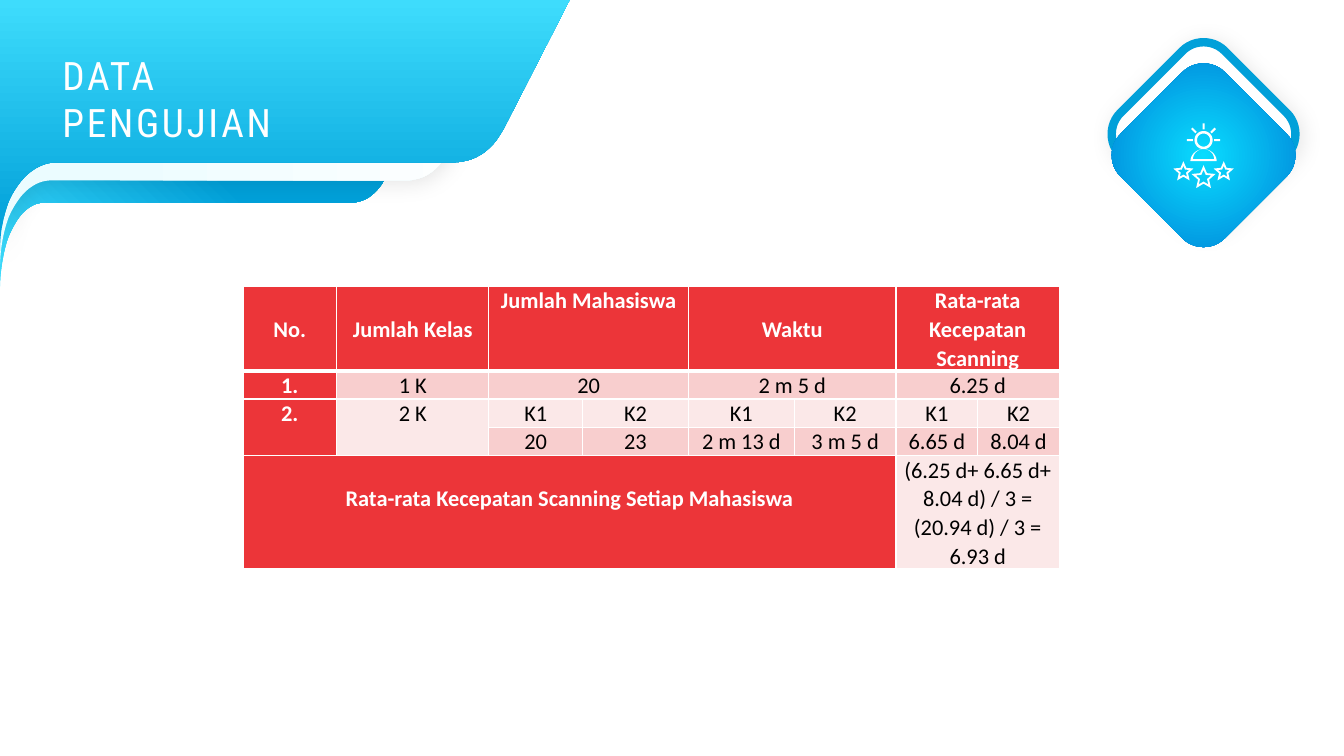
"""Build the test data slide: ribbons, title, badge and results table."""
from dataclasses import dataclass
from itertools import product
from math import cos, pi, sin

from lxml import etree
from pptx import Presentation
from pptx.dml.color import RGBColor
from pptx.enum.text import PP_ALIGN
from pptx.oxml import parse_xml
from pptx.oxml.ns import nsdecls, qn
from pptx.shapes.autoshape import Shape
from pptx.shapes.shapetree import GroupShapes, SlideShapes
from pptx.table import Table
from pptx.util import Emu, Inches, Pt

MID = PP_ALIGN.CENTER
WHITE = RGBColor(0xFF, 0xFF, 0xFF)
BLACK = RGBColor(0, 0, 0)
BLUE = RGBColor(0x01, 0xA0, 0xD9)
SKY = RGBColor(0x3E, 0xDC, 0xFC)
ICE = RGBColor(0xEB, 0xFC, 0xFF)
CYAN = RGBColor(0x09, 0xDC, 0xFF)
DEEP = RGBColor(0x00, 0x7F, 0xD6)
RED = RGBColor(0xEC, 0x35, 0x39)
PINK = RGBColor(0xF8, 0xCE, 0xCE)
PALE = RGBColor(0xFB, 0xE8, 0xE8)

CELL = Inches(0.1)
WIDE, HIGH = 133.33, 75

Point = tuple[float, float]
Ring = list[Point]


@dataclass
class Ribbon:
    top: float
    width: float
    stops: list[tuple[float, RGBColor]]
    angle: float
    shade: bool = False


@dataclass
class Entry:
    row: int
    col: int
    text: str
    cols: int = 1
    rows: int = 1
    lead: float = 0


RIBBONS = [
    Ribbon(4, 43.7, [(0, SKY), (0.49, BLUE)], 45),
    Ribbon(1.8, 50.6, [(0.15, ICE), (1, WHITE)], 0, True),
    Ribbon(0, 56.5, [(0.07, BLUE), (1, SKY)], 90),
]
COLS = [9.3, 15.1, 9.3, 10.5, 10.5, 10.1, 8.1, 8.1]
ROWS = [8.3, 2.8, 2.8, 2.8, 11.2]
ENTRIES = [
    Entry(0, 0, "No.", lead=2.8),
    Entry(0, 1, "Jumlah Kelas", lead=2.8),
    Entry(0, 2, "Jumlah Mahasiswa", 2),
    Entry(0, 4, "Waktu", 2, lead=2.8),
    Entry(0, 6, "Rata-rata Kecepatan Scanning", 2),
    Entry(1, 0, "1."),
    Entry(1, 1, "1 K"),
    Entry(1, 2, "20", 2),
    Entry(1, 4, "2 m 5 d", 2),
    Entry(1, 6, "6.25 d", 2),
    Entry(2, 0, "2.", rows=2),
    Entry(2, 1, "2 K", rows=2),
    *[Entry(2, col, f"K{1 + col % 2}") for col in range(2, 8)],
    *[Entry(3, col, text) for col, text in enumerate(
        ["20", "23", "2 m 13 d", "3 m 5 d", "6.65 d", "8.04 d"], 2)],
    Entry(4, 0, "Rata-rata Kecepatan Scanning Setiap Mahasiswa", 6, lead=2.8),
    Entry(4, 6, "(6.25 d+ 6.65 d+ 8.04 d) / 3 = (20.94 d) / 3 = 6.93 d", 2),
]


def span(cells: float) -> Emu:
    return Emu(round(cells * CELL))


def curve(a: Point, b: Point, c: Point, d: Point) -> Ring:
    def at(t: float, i: int) -> float:
        s = 1 - t
        return s**3 * a[i] + 3 * s * s * t * b[i] + 3 * s * t * t * c[i] + t**3 * d[i]
    return [(at(n / 12, 0), at(n / 12, 1)) for n in range(13)]


def arc(x: float, y: float, wide: float, high: float, turn: float) -> Ring:
    return [(x + wide * cos(pi + turn * n / 40), y + high * sin(pi + turn * n / 40))
            for n in range(41)]


def star(x: float, y: float, size: float) -> Ring:
    reach = [size, size * 0.46]
    return [(x + reach[n % 2] * sin(n * pi / 5), y - reach[n % 2] * cos(n * pi / 5))
            for n in range(10)]


def ray(x: float, y: float, turn: float) -> Ring:
    c, s = cos(turn), sin(turn)
    ends = [(1.05, -0.1), (1.65, -0.1), (1.65, 0.1), (1.05, 0.1)]
    return [(x + u * c - v * s, y + u * s + v * c) for u, v in ends]


def draw(shapes: SlideShapes | GroupShapes, rings: list[Ring]) -> Shape:
    pen = None
    for ring in rings:
        dots = [(span(x), span(y)) for x, y in ring]
        if pen is None:
            pen = shapes.build_freeform(*dots[0], scale=1.0)
        else:
            pen.move_to(*dots[0])
        pen.add_line_segments(dots[1:], close=True)
    shape = pen.convert_to_shape()
    shape.shadow.inherit = False
    shape.line.fill.background()
    return shape


def paint(shape: Shape, color: RGBColor) -> None:
    shape.fill.solid()
    shape.fill.fore_color.rgb = color


def blend(shape: Shape, stops: list[tuple[float, RGBColor]], angle: float = 0) -> None:
    shape.fill.gradient()
    shape.fill.gradient_angle = angle
    for stop, (place, color) in zip(shape.fill.gradient_stops, stops):
        stop.position, stop.color.rgb = place, color


def shade(shape: Shape) -> None:
    shape._element.spPr.find(qn("a:effectLst")).append(parse_xml(
        f'<a:outerShdw {nsdecls("a")} blurRad="{Pt(16)}" dist="{Pt(3)}" dir="2700000">'
        '<a:srgbClr val="000000"><a:alpha val="10000"/></a:srgbClr></a:outerShdw>'))


def add_ribbon(shapes: SlideShapes, item: Ribbon) -> None:
    edge = [
        (100, 0),
        *curve((88.6, 12.6), (88.3, 12.9), (88, 13.2), (87.3, 13.8)),
        *curve((87.3, 13.8), (85.9, 14.9), (84.1, 15.6), (82.2, 15.9)),
        *curve((82.2, 15.9), (81.4, 16), (80.6, 16.1), (79.8, 16.1)),
        *curve((10, 16.1), (8, 16.1), (5.9, 16.6), (4.1, 17.7)),
        *curve((4.1, 17.7), (3.2, 18.3), (2.3, 19), (1.6, 19.9)),
        *curve((1.6, 19.9), (0.7, 21.2), (0, 22.9), (0, 24.9)),
        (0, 0),
    ]
    shape = draw(shapes, [[(x * item.width / 100, item.top + y) for x, y in edge]])
    blend(shape, item.stops, item.angle)
    if item.shade:
        shade(shape)


def add_title(shapes: SlideShapes) -> None:
    frame = shapes.add_textbox(span(5.2), span(4.6), span(30.8), span(5.7)).text_frame
    frame.word_wrap = True
    run = frame.paragraphs[0].add_run()
    run.text = "DATA PENGUJIAN"
    run.font.name, run.font.size = "Roboto Condensed", Pt(28)
    run.font.color.rgb = WHITE
    run._r.get_or_add_rPr().set("spc", "200")


def tile(x: float, y: float) -> Ring:
    ring = curve((-2.1, -8.25), (-0.95, -9.4), (0.95, -9.4), (2.1, -8.25))
    dots: Ring = []
    for _ in range(4):
        dots += [(x + u, y + v) for u, v in ring]
        ring = [(-v, u) for u, v in ring]
    return dots


def add_badge(shapes: GroupShapes) -> None:
    x, y = 119.4, 13.9
    back = draw(shapes, [tile(x, 13.3)])
    paint(back, WHITE)
    back.line.color.rgb, back.line.width = BLUE, Pt(6)
    shade(back)
    front = draw(shapes, [tile(x, 15.4)])
    blend(front, [(0, CYAN), (1, DEEP)])
    grad = front._element.spPr.find(qn("a:gradFill"))
    grad.replace(grad.find(qn("a:lin")), parse_xml(
        f'<a:path {nsdecls("a")} path="circle">'
        '<a:fillToRect l="50000" t="50000" r="50000" b="50000"/></a:path>'))
    stars = [(x, 17.65, 1.25), (x, 17.65, 0.8), *[
        (x + side, 17.05, size) for side, size in product((-2, 2), (1.05, 0.6))]]
    icon = [star(*item) for item in stars]
    icon += [arc(x, y, size, size, 2 * pi) for size in (0.9, 0.65)]
    icon += [arc(x, 16, 1.3, 1.2, pi), arc(x, 15.8, 1.05, 1, pi)]
    icon += [ray(x, y, pi + n * pi / 4) for n in range(5)]
    paint(draw(shapes, icon), WHITE)


def rule(table: Table, row: int, col: int) -> None:
    props = table.cell(row, col)._tc.get_or_add_tcPr()
    heavy = {(0, "B"), (1, "T")}
    for n, side in enumerate("LRTB"):
        line = etree.Element(qn(f"a:ln{side}"), w=str(Pt(3 if (row, side) in heavy else 1)))
        fill = etree.SubElement(line, qn("a:solidFill"))
        etree.SubElement(fill, qn("a:srgbClr"), val=str(WHITE))
        props.insert(n, line)


def add_grid(shapes: SlideShapes) -> None:
    table = shapes.add_table(len(ROWS), len(COLS), span(24.1), span(28.4),
                             span(sum(COLS)), span(sum(ROWS))).table
    table.first_row = table.horz_banding = False
    for col, size in zip(table.columns, COLS):
        col.width = span(size)
    for row, size in zip(table.rows, ROWS):
        row.height = span(size)
    for row, col in product(range(len(ROWS)), range(len(COLS))):
        rule(table, row, col)
    for item in ENTRIES:
        cell = table.cell(item.row, item.col)
        if item.rows * item.cols > 1:
            cell.merge(table.cell(item.row + item.rows - 1, item.col + item.cols - 1))
        head = item.row == 0 or item.col == 0
        cell.fill.solid()
        cell.fill.fore_color.rgb = RED if head else PINK if item.row % 2 else PALE
        cell.margin_left = cell.margin_right = span(0.7)
        cell.margin_top, cell.margin_bottom = span(item.lead), 0
        para = cell.text_frame.paragraphs[0]
        para.alignment, para.line_spacing = MID, 1.05
        run = para.add_run()
        run.text = item.text
        run.font.name, run.font.size, run.font.bold = "Calibri", Pt(16), head
        run.font.color.rgb = WHITE if head else BLACK


def main() -> None:
    deck = Presentation()
    deck.slide_width, deck.slide_height = span(WIDE), span(HIGH)
    shapes = deck.slides.add_slide(deck.slide_layouts[6]).shapes
    for item in RIBBONS:
        add_ribbon(shapes, item)
    add_title(shapes)
    add_badge(shapes.add_group_shape().shapes)
    add_grid(shapes)
    deck.save("out.pptx")


if __name__ == "__main__":
    main()
